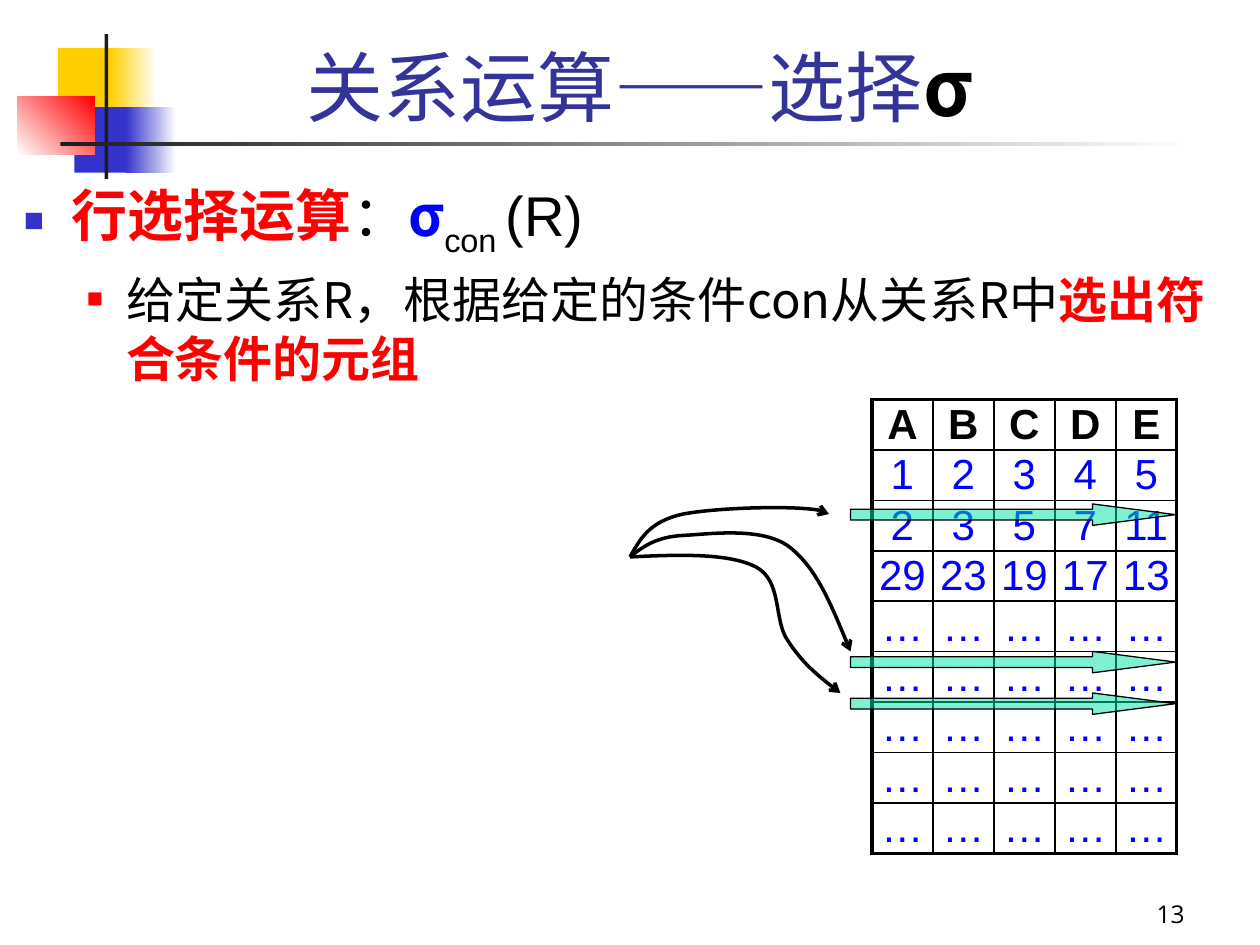
from lxml import etree
from pptx import Presentation
from pptx.dml.color import RGBColor
from pptx.enum import shapes, text
from pptx.oxml import ns
from pptx.util import Inches, Pt

BLACK, INK = RGBColor(0, 0, 0), RGBColor(0x1C, 0x1C, 0x1C)
WHITE, RED = RGBColor(255, 255, 255), RGBColor(255, 0, 0)
BLUE, INDIGO = RGBColor(0, 0, 255), RGBColor(0x33, 0x33, 0xCC)
NAVY, GOLD = RGBColor(0x33, 0x33, 0x99), RGBColor(0xFF, 0xCF, 0x01)
MINT = RGBColor(0, 0xE4, 0xA8)
CJK, LATIN, NUMBER = "Noto Sans CJK SC", "Arial", "Open Sans"


def add_node(parent, tag, **attributes):
    node = etree.SubElement(parent, ns.qn(tag))
    for name, value in attributes.items():
        node.set(name, str(value))
    return node


def add_span(para, words, size, font=CJK, color=BLACK, bold=False, baseline=0):
    span = para.add_run()
    span.text = words
    span.font.size, span.font.bold, span.font.name = Pt(size), bold, font
    span.font.color.rgb = color
    properties = span._r.get_or_add_rPr()
    add_node(properties, "a:ea", typeface=font)
    if baseline:
        properties.set("baseline", str(baseline * 1000))


def place(shape, box):
    shape.left, shape.top, shape.width, shape.height = map(Inches, box)


def add_block(page, box, start, end=None, angle=0):
    block = page.shapes.add_shape(shapes.MSO_SHAPE.RECTANGLE, *map(Inches, box))
    block.shadow.inherit = False
    block.line.fill.background()
    if end is None:
        block.fill.solid()
        block.fill.fore_color.rgb = start
        return
    block.fill.gradient()
    block.fill.gradient_angle = angle
    for stop, color in zip(block.fill.gradient_stops, (start, end)):
        stop.color.rgb = color


def add_emblem(page, box):
    """Coloured squares crossed by a vertical bar and a fading rule."""
    left, top, width, height = box
    parts = [
        ((0.32, 0.11, 0.48, 0.52), GOLD),
        ((0.74, 0.11, 0.36, 0.52), GOLD, WHITE),
        ((0.45, 0.58, 0.46, 0.52), INDIGO),
        ((0.86, 0.58, 0.40, 0.52), INDIGO, WHITE),
        ((0, 0.5, 0.61, 0.46), WHITE, RED, 45),
        ((0.69, 0, 0.03, height), INK),
        ((0.34, 0.86, width - 0.34, 0.03), INK, WHITE),
    ]
    for (x, y, w, h), *colors in parts:
        add_block(page, (left + x, top + y, w, h), *colors)


def fill_title(page, box):
    title = page.shapes.title
    place(title, box)
    title.text_frame.vertical_anchor = text.MSO_ANCHOR.MIDDLE
    title.text_frame.auto_size = text.MSO_AUTO_SIZE.NONE
    para = title.text_frame.paragraphs[0]
    para.alignment = text.PP_ALIGN.CENTER
    add_span(para, " 关系运算——选择", 44, color=NAVY)
    add_span(para, "σ", 44, bold=True)


def format_bullet(para, level, margin, hanging, color, percent):
    para.level = level
    para.alignment = text.PP_ALIGN.JUSTIFY
    properties = para._p.get_or_add_pPr()
    properties.set("marL", str(Inches(margin)))
    properties.set("indent", str(-Inches(hanging)))
    bullet_color = add_node(properties, "a:buClr")
    add_node(bullet_color, "a:srgbClr", val=color)
    add_node(properties, "a:buSzPct", val=percent * 1000)
    add_node(properties, "a:buFont", typeface=LATIN)
    add_node(properties, "a:buChar", char="■")


def fill_body(page, box):
    body = page.placeholders[1]
    place(body, box)
    frame = body.text_frame
    frame.auto_size = text.MSO_AUTO_SIZE.NONE
    heading, detail = frame.paragraphs[0], frame.add_paragraph()
    format_bullet(heading, 0, 0.38, 0.38, INDIGO, 60)
    add_span(heading, "行选择运算", 32, color=RED, bold=True)
    add_span(heading, "：", 32)
    add_span(heading, "σ", 32, color=BLUE, bold=True)
    add_span(heading, "con ", 32, font=LATIN, baseline=-30)
    add_span(heading, "(R)", 32, font=LATIN)
    format_bullet(detail, 1, 0.81, 0.31, RED, 55)
    add_span(detail, "给定关系R，根据给定的条件con从关系R中", 28)
    add_span(detail, "选出符合条件的元组", 28, color=RED, bold=True)


def set_borders(cell, weights):
    properties = cell._tc.get_or_add_tcPr()
    for index, (side, weight) in enumerate(zip("LRTB", weights)):
        line = etree.Element(ns.qn("a:ln" + side), w=str(Pt(weight)))
        add_node(add_node(line, "a:solidFill"), "a:srgbClr", val=BLACK)
        properties.insert(index, line)


def add_relation(page, box):
    rows = [list("ABCDE"), "12345", ["2", "3", "5", "7", "11"],
            ["29", "23", "19", "17", "13"]] + [["…"] * 5] * 5
    last_row, last_column = len(rows) - 1, len(rows[0]) - 1
    table = page.shapes.add_table(len(rows), len(rows[0]), *map(Inches, box)).table
    table.first_row = table.horz_banding = False
    for r, values in enumerate(rows):
        for c, value in enumerate(values):
            cell = table.cell(r, c)
            cell.fill.background()
            cell.vertical_anchor = text.MSO_ANCHOR.MIDDLE
            cell.margin_left = cell.margin_right = 0
            cell.margin_top = cell.margin_bottom = 0
            para = cell.text_frame.paragraphs[0]
            para.alignment = text.PP_ALIGN.CENTER
            add_span(para, value, 24, font=LATIN, bold=r == 0,
                     color=BLUE if r else BLACK)
            outer = (c == 0, c == last_column, r == 0, r == last_row)
            set_borders(cell, [2.25 if edge else 1 for edge in outer])


def add_row_arrows(group, box):
    """Translucent arrows laid over the selected rows."""
    left, top, width, height = box
    for offset in (0, 1.5, 1.17):
        arrow = group.shapes.add_shape(
            shapes.MSO_SHAPE.RIGHT_ARROW,
            *map(Inches, (left, top + offset, width, height)))
        arrow.shadow.inherit = False
        arrow.adjustments[0], arrow.adjustments[1] = 0.5, 3.875
        arrow.fill.solid()
        arrow.fill.fore_color.rgb = MINT
        color = arrow._element.spPr.find(".//" + ns.qn("a:srgbClr"))
        add_node(color, "a:alpha", val=50000)
        arrow.line.color.rgb, arrow.line.width = BLACK, Pt(0.75)


def add_curve(group, origin, points):
    """Cubic curve: every three points are two controls and an end."""
    x, y = origin
    builder = group.shapes.build_freeform(Inches(x), Inches(y))
    builder.add_line_segments(
        [(Inches(x + dx), Inches(y + dy)) for dx, dy in points], close=False)
    curve = builder.convert_to_shape()
    curve.shadow.inherit = False
    curve.fill.background()
    curve.line.color.rgb, curve.line.width = BLACK, Pt(2)
    add_node(curve.line._get_or_add_ln(), "a:tailEnd", type="arrow")
    segments = list(curve._element.iter(ns.qn("a:lnTo")))
    outline = segments[0].getparent()
    for start in range(0, len(segments), 3):
        bezier = add_node(outline, "a:cubicBezTo")
        for segment in segments[start:start + 3]:
            bezier.append(segment[0])
            outline.remove(segment)


def add_pointers(group, origin):
    for points in (
        [(0.08, -0.14), (0.15, -0.28), (0.42, -0.34),
         (0.68, -0.39), (1.54, -0.42), (1.58, -0.34)],
        [(0.4, -0.02), (0.79, -0.03), (1, 0.08), (1.21, 0.19), (1.14, 0.5),
         (1.25, 0.66), (1.36, 0.83), (1.51, 0.96), (1.67, 1.08)],
        [(0.1, -0.08), (0.21, -0.16), (0.42, -0.17), (0.62, -0.18),
         (1.03, -0.24), (1.25, -0.09), (1.47, 0.07), (1.61, 0.41), (1.75, 0.75)],
    ):
        add_curve(group, origin, points)


def add_page_number(page, box):
    frame = page.shapes.add_textbox(*map(Inches, box)).text_frame
    frame.word_wrap = True
    frame.vertical_anchor = text.MSO_ANCHOR.BOTTOM
    frame.paragraphs[0].alignment = text.PP_ALIGN.RIGHT
    add_span(frame.paragraphs[0], "13", 14, font=NUMBER)


deck = Presentation()
deck.slide_width, deck.slide_height = Inches(10), Inches(7.5)
page = deck.slides.add_slide(deck.slide_layouts[1])
add_emblem(page, (0.14, 0.27, 9.34, 1.15))
fill_title(page, (0.75, 0.25, 8.52, 0.86))
fill_body(page, (0.09, 1.38, 9.58, 3.09))
add_page_number(page, (7.42, 6.92, 2.08, 0.5))
add_relation(page, (6.92, 3.17, 2.42, 3.36))
add_row_arrows(page.shapes.add_group_shape(), (6.75, 4, 2.58, 0.17))
add_pointers(page.shapes.add_group_shape(), (5, 4.42))
deck.save("out.pptx")
